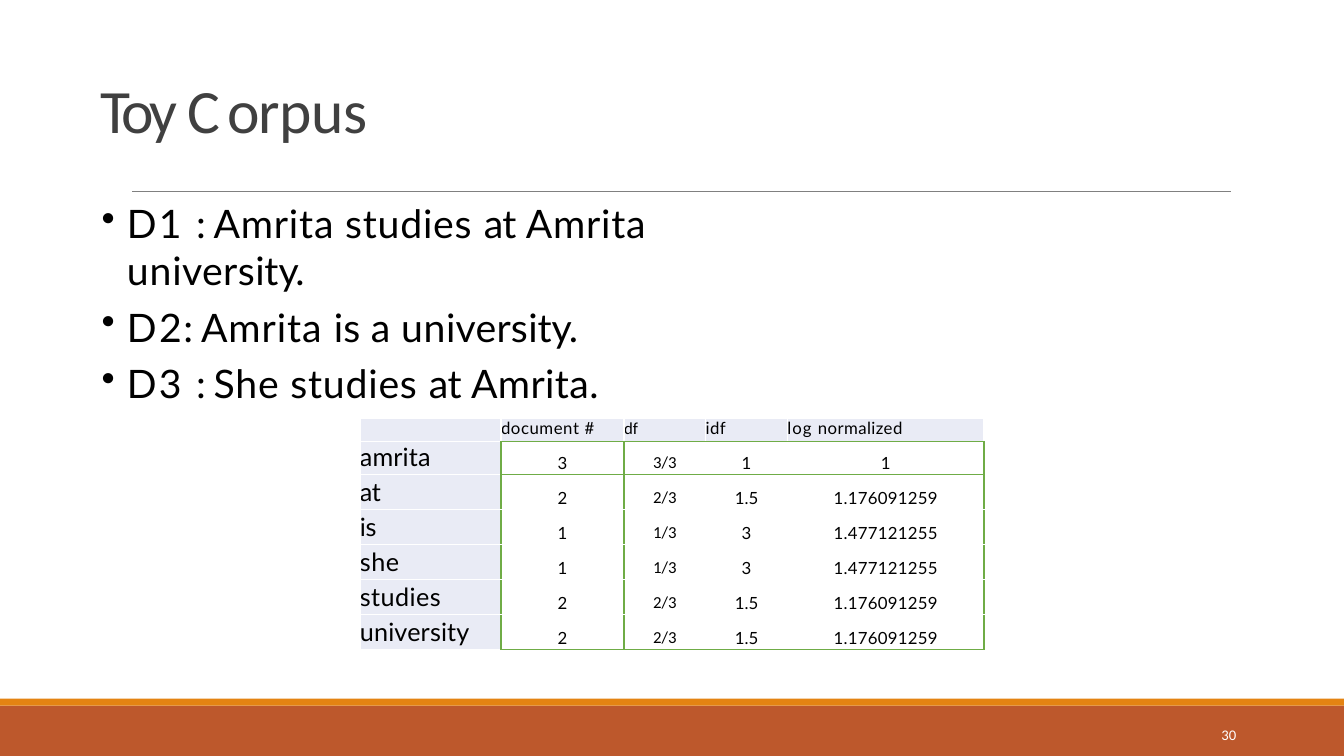
from dataclasses import dataclass

from lxml import etree
from pptx import Presentation, util as u
from pptx.dml.color import RGBColor
from pptx.enum import shapes, text
from pptx.oxml.ns import qn

WIDTH, HEIGHT = u.Inches(13.33), u.Inches(7.5)
BLACK, WHITE, GREY, TITLE_GREY = "000000", "FFFFFF", "808080", "404040"
RUST, ORANGE, PALE, GREEN = "BD582C", "E48312", "E9EBF5", "6FAC46"

# A line of text is a list of (words, letter spacing in points)
Runs = list[tuple[str, float]]


@dataclass
class Area:
    """A box given in percent of the slide's width and height."""
    left: float
    top: float
    width: float
    height: float

    def box(self) -> tuple[int, int, int, int]:
        return across(self.left), down(self.top), across(self.width), down(self.height)


@dataclass
class Band:
    area: Area
    fill: str


@dataclass
class Term:
    word: str
    spacing: float
    documents: str
    df: str
    idf: str
    log_normalized: str


BANDS = [
    Band(Area(0, 93.33, 100, 6.67), RUST),
    Band(Area(0, 92.4, 100, 0.93), ORANGE),
]
TITLE: Runs = [("Toy ", -2.9), ("C", 5), ("orpu", -0.5), ("s", -5.8)]
DOCUMENTS: list[Runs] = [
    [("D1 ", 1.6), (": ", -1.6), ("Amrita studies ", 0.6), ("at ", -0.4),
     ("Amrita un", 0.6), ("ivers", 0.3), ("it", -0.1), ("y.", -1.3)],
    [("D", 1.7), ("2", 1.2), (": ", -1.6), ("Amrita ", 0.7), ("is a ", 0.2),
     ("un", 0.5), ("ivers", 0.2), ("it", -0.1), ("y.", -1.1)],
    [("D3 ", 1.6), (": ", -1.6), ("She studies ", 0.6), ("at ", -0.4), ("Amrita.", 0.3)],
]
HEADINGS: list[Runs] = [
    [("", 0)],
    [("document ", 0.4), ("#", -2.1)],
    [("df", 0.1)],
    [("idf", 0.3)],
    [("log ", 0.7), ("normalized", 0.3)],
]
TERMS = [
    Term("amrita", 0.1, "3", "3/3", "1", "1"),
    Term("at", -0.2, "2", "2/3", "1.5", "1.176091259"),
    Term("is", -0.2, "1", "1/3", "3", "1.477121255"),
    Term("she", 0.4, "1", "1/3", "3", "1.477121255"),
    Term("studies", 0.3, "2", "2/3", "1.5", "1.176091259"),
    Term("university", 0.1, "2", "2/3", "1.5", "1.176091259"),
]
TABLE_LEFT, TABLE_TOP = 26.78, 55.33
COLUMNS = [10.5, 9.15, 6.08, 6.08, 14.63]
ROWS = [3.07, 4.4] + [4.63] * 5
DF_COLUMN = 2


def across(percent: float) -> int:
    return round(WIDTH * percent / 100)


def down(percent: float) -> int:
    return round(HEIGHT * percent / 100)


def color(value: str) -> RGBColor:
    return RGBColor.from_string(value)


def write(paragraph, runs: Runs, *, size: float, font: str = "Lato", fill: str = BLACK,
          align=text.PP_ALIGN.LEFT, line_spacing: float | None = None) -> None:
    paragraph.alignment = align
    if line_spacing:
        paragraph.line_spacing = u.Pt(line_spacing)
    paragraph.font.size = u.Pt(size)
    for words, spacing in runs:
        if not words:
            continue
        run = paragraph.add_run()
        run.text = words
        run.font.size, run.font.name = u.Pt(size), font
        run.font.color.rgb = color(fill)
        run._r.get_or_add_rPr().set("spc", str(round(spacing * 100)))


def add_frame(slide, area: Area, anchor=text.MSO_ANCHOR.TOP, top_inset: float = 0):
    frame = slide.shapes.add_textbox(*area.box()).text_frame
    frame.word_wrap = True
    frame.vertical_anchor = anchor
    frame.margin_left = frame.margin_right = frame.margin_bottom = 0
    frame.margin_top = down(top_inset)
    return frame


def add_bullet(paragraph) -> None:
    properties = paragraph._p.get_or_add_pPr()
    properties.set("marL", str(across(1.95)))
    properties.set("indent", str(-across(1.88)))
    etree.SubElement(properties, qn("a:buChar"), char="•")


def add_band(slide, band: Band) -> None:
    shape = slide.shapes.add_shape(shapes.MSO_SHAPE.RECTANGLE, *band.area.box())
    shape.shadow.inherit = False
    shape.fill.solid()
    shape.fill.fore_color.rgb = color(band.fill)
    shape.line.fill.background()


def add_rule(slide, left: float, right: float, top: float) -> None:
    rule = slide.shapes.add_connector(
        shapes.MSO_CONNECTOR.STRAIGHT, across(left), down(top), across(right), down(top))
    rule.line.color.rgb = color(GREY)
    rule.line.width = u.Pt(0.5)
    etree.SubElement(rule._element.spPr, qn("a:effectLst"))


def style_cell(cell, fill: str, borders: dict[str, str], top_inset: float) -> None:
    properties = cell._tc.get_or_add_tcPr()
    for side in "LRTB":
        if side in borders:
            line = etree.SubElement(properties, qn(f"a:ln{side}"), w=str(u.Pt(1)))
            solid = etree.SubElement(line, qn("a:solidFill"))
            etree.SubElement(solid, qn("a:srgbClr"), val=borders[side])
    cell.fill.solid()
    cell.fill.fore_color.rgb = color(fill)
    cell.margin_left = cell.margin_right = cell.margin_bottom = 0
    cell.margin_top = down(top_inset)


def value_borders(row: int, column: int) -> dict[str, str]:
    """Green frame, with rules below the first term and after the first count."""
    edges = {"L": column in (1, 2), "R": column in (1, len(COLUMNS) - 1),
             "T": row in (1, 2), "B": row in (1, len(ROWS) - 1)}
    return {side: GREEN for side, drawn in edges.items() if drawn}


def add_term_table(slide) -> None:
    area = Area(TABLE_LEFT, TABLE_TOP, sum(COLUMNS), sum(ROWS))
    table = slide.shapes.add_table(len(ROWS), len(COLUMNS), *area.box()).table
    table.first_row = table.horz_banding = False
    for column, width in zip(table.columns, COLUMNS):
        column.width = across(width)
    for row, height in zip(table.rows, ROWS):
        row.height = down(height)

    # Heading row
    for column, heading in enumerate(HEADINGS):
        cell = table.cell(0, column)
        style_cell(cell, PALE, {"L": WHITE, "R": WHITE, "T": WHITE,
                                "B": GREEN if column else WHITE}, 0)
        write(cell.text_frame.paragraphs[0], heading, size=12,
              font="Calibri" if column == DF_COLUMN else "Lato")

    # One row for each term
    for row, term in enumerate(TERMS, start=1):
        inset = 0 if row == 1 else 0.27
        cell = table.cell(row, 0)
        style_cell(cell, PALE, {"L": WHITE, "R": GREEN, "T": WHITE, "B": WHITE}, inset)
        write(cell.text_frame.paragraphs[0], [(term.word, term.spacing)], size=18)
        values = (term.documents, term.df, term.idf, term.log_normalized)
        for column, value in enumerate(values, start=1):
            cell = table.cell(row, column)
            style_cell(cell, WHITE, value_borders(row, column), inset + 1.6)
            write(cell.text_frame.paragraphs[0], [(value, 0.2 if len(value) > 3 else 0)],
                  size=12, font="Calibri" if column == DF_COLUMN else "Lato",
                  align=text.PP_ALIGN.CENTER, line_spacing=14)


def main() -> None:
    presentation = Presentation()
    presentation.slide_width, presentation.slide_height = WIDTH, HEIGHT
    slide = presentation.slides.add_slide(presentation.slide_layouts[6])

    # Footer bands and title rule
    for band in BANDS:
        add_band(slide, band)
    add_rule(slide, 9.83, 91.6, 25.33)

    # Title and slide number
    title = add_frame(slide, Area(7.5, 9.2, 24.68, 10.13), text.MSO_ANCHOR.BOTTOM)
    write(title.paragraphs[0], TITLE, size=44, font="Calibri", fill=TITLE_GREY)
    number = add_frame(slide, Area(81.25, 94.13, 10.73, 5.33), text.MSO_ANCHOR.MIDDLE)
    write(number.paragraphs[0], [("30", 0)], size=10.5, font="Calibri", fill=WHITE,
          align=text.PP_ALIGN.RIGHT, line_spacing=16.5)

    # Documents of the corpus
    body = add_frame(slide, Area(7.5, 24.93, 54.09, 22.8), top_inset=1.47)
    for index, document in enumerate(DOCUMENTS):
        paragraph = body.add_paragraph() if index else body.paragraphs[0]
        add_bullet(paragraph)
        if index:
            paragraph.space_before = u.Pt(6.7)
        write(paragraph, document, size=28)

    add_term_table(slide)
    presentation.save("out.pptx")


if __name__ == "__main__":
    main()
